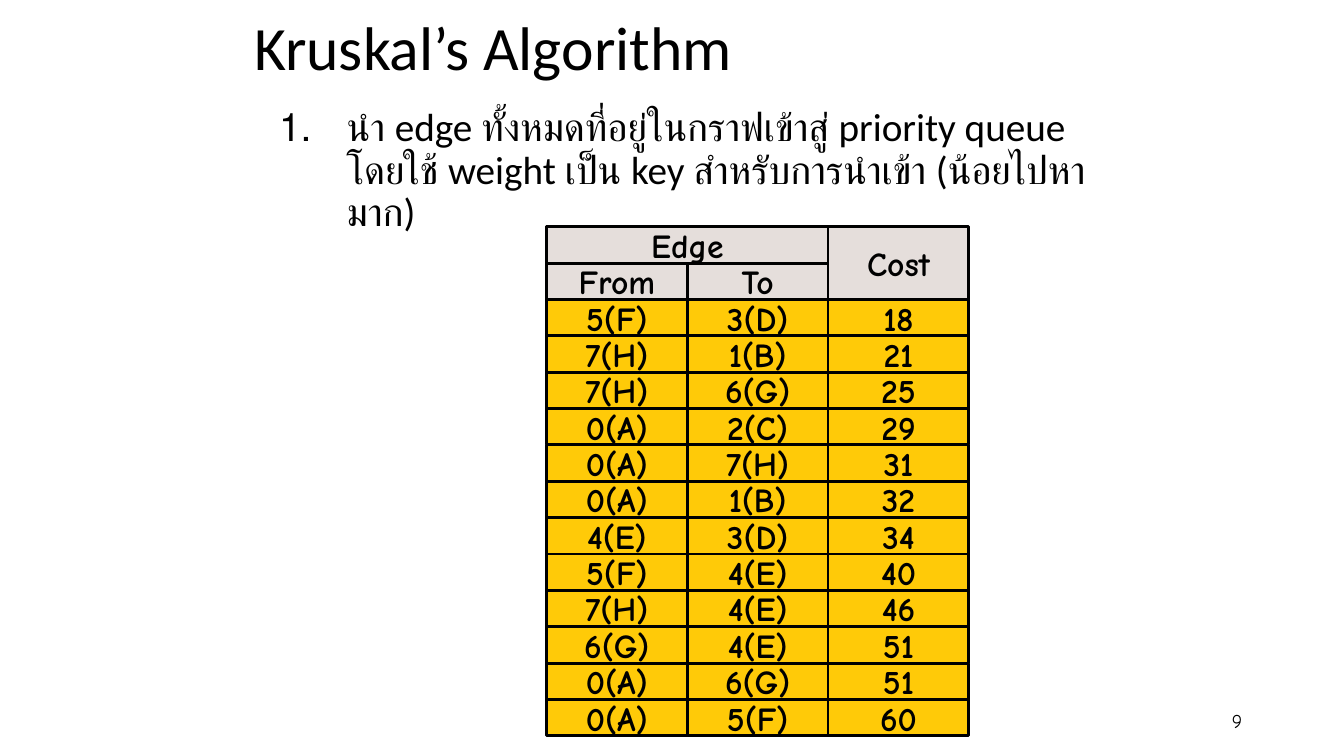
from dataclasses import dataclass

from lxml import etree
from pptx import Presentation
from pptx import util as u
from pptx.dml import color
from pptx.enum import shapes as s
from pptx.enum import text as t
from pptx.oxml import ns

TITLE = "Kruskal’s Algorithm"
STEP = ("นำ edge ทั้งหมดที่อยู่ในกราฟเข้าสู่ priority queue "
        "โดยใช้ weight เป็น key สำหรับการนำเข้า (น้อยไปหามาก)")
PAGE_NUMBER = "9"
# Label, row, column, row span, column span
HEADER = [
    ("From", 1, 0, 1, 1), ("To", 1, 1, 1, 1),
    ("Cost", 0, 2, 2, 1), ("Edge", 0, 0, 1, 2),
]
HEADER_ROWS = 2
EDGES = [
    ("5(F)", "3(D)", 18), ("7(H)", "1(B)", 21), ("7(H)", "6(G)", 25),
    ("0(A)", "2(C)", 29), ("0(A)", "7(H)", 31), ("0(A)", "1(B)", 32),
    ("4(E)", "3(D)", 34), ("5(F)", "4(E)", 40), ("7(H)", "4(E)", 46),
    ("6(G)", "4(E)", 51), ("0(A)", "6(G)", 51), ("0(A)", "5(F)", 60),
]


@dataclass(frozen=True)
class Theme:
    """Colours, fonts and type sizes of the slide."""
    ink: str = "000000"
    header_fill: str = "E5DEDB"
    edge_fill: str = "FFCA08"
    text_font: str = "Calibri"
    grid_font: str = "Comic Neue"
    title_size: int = 44
    step_size: int = 28
    grid_size: int = 24
    number_size: int = 14
    border: int = 2


THEME = Theme()


def rgb(value):
    """Turn a hex string into a colour."""
    return color.RGBColor.from_string(value)


def write(frame, content, size, font=THEME.text_font, bold=False, wrap=True,
          align=t.PP_ALIGN.LEFT, anchor=t.MSO_ANCHOR.TOP, spacing=1.0,
          before=0):
    """Write one formatted paragraph into a text frame and return it."""
    frame.word_wrap = wrap
    frame.vertical_anchor = anchor
    paragraph = frame.paragraphs[0]
    paragraph.alignment = align
    paragraph.line_spacing = spacing
    paragraph.space_before = u.Pt(before)
    run = paragraph.add_run()
    run.text = content
    run.font.size = u.Pt(size)
    run.font.name = font
    run.font.bold = bold
    run.font.color.rgb = rgb(THEME.ink)
    return paragraph


def add_text(slide, box, content, size, **style):
    """Add a text box holding one paragraph, which is returned."""
    shape = slide.shapes.add_textbox(*map(u.Inches, box))
    return write(shape.text_frame, content, size, **style)


def number_paragraph(paragraph, indent):
    """Give a paragraph an automatic number with a hanging indent."""
    properties = paragraph._p.get_or_add_pPr()
    properties.set("marL", str(u.Inches(indent)))
    properties.set("indent", str(-u.Inches(indent)))
    etree.SubElement(properties, ns.qn("a:buAutoNum"), type="arabicPeriod")


def add_cell(group, box, label, fill):
    """Add one outlined, labelled rectangle to the grid."""
    shape = group.shapes.add_shape(s.MSO_SHAPE.RECTANGLE,
                                   *map(u.Inches, box))
    shape.shadow.inherit = False
    shape.fill.solid()
    shape.fill.fore_color.rgb = rgb(fill)
    shape.line.color.rgb = rgb(THEME.ink)
    shape.line.width = u.Pt(THEME.border)
    write(shape.text_frame, label, THEME.grid_size, font=THEME.grid_font,
          bold=True, wrap=False, align=t.PP_ALIGN.CENTER,
          anchor=t.MSO_ANCHOR.MIDDLE)


def add_edge_grid(slide, left, top, width, height):
    """Add the grouped grid of edges sorted by cost."""
    group = slide.shapes.add_group_shape()
    column_width = width / len(EDGES[0])
    row_height = height / (HEADER_ROWS + len(EDGES))
    cells = [(*cell, THEME.header_fill) for cell in HEADER]
    cells += [(str(value), row, column, 1, 1, THEME.edge_fill)
              for row, edge in enumerate(EDGES, HEADER_ROWS)
              for column, value in enumerate(edge)]
    for label, row, column, row_span, column_span, fill in cells:
        box = (left + column * column_width, top + row * row_height,
               column_span * column_width, row_span * row_height)
        add_cell(group, box, label, fill)


presentation = Presentation()
presentation.slide_width = u.Inches(13.33)
presentation.slide_height = u.Inches(7.5)
slide = presentation.slides.add_slide(presentation.slide_layouts[5])

title = slide.shapes.title
title.left, title.top, title.width, title.height = map(
    u.Inches, (2.42, 0, 7.51, 1))
title.text_frame.auto_size = t.MSO_AUTO_SIZE.NONE
write(title.text_frame, TITLE, THEME.title_size,
      anchor=t.MSO_ANCHOR.MIDDLE, spacing=0.9)

step = add_text(slide, (2.67, 1.02, 8.42, 5.48), STEP, THEME.step_size,
                spacing=0.9, before=10)
number_paragraph(step, indent=0.67)
add_text(slide, (9.42, 6.95, 3, 0.4), PAGE_NUMBER, THEME.number_size,
         anchor=t.MSO_ANCHOR.MIDDLE, font=THEME.grid_font,
         align=t.PP_ALIGN.RIGHT)
add_edge_grid(slide, 5.42, 2.25, 4.19, 5.05)

presentation.save("out.pptx")
